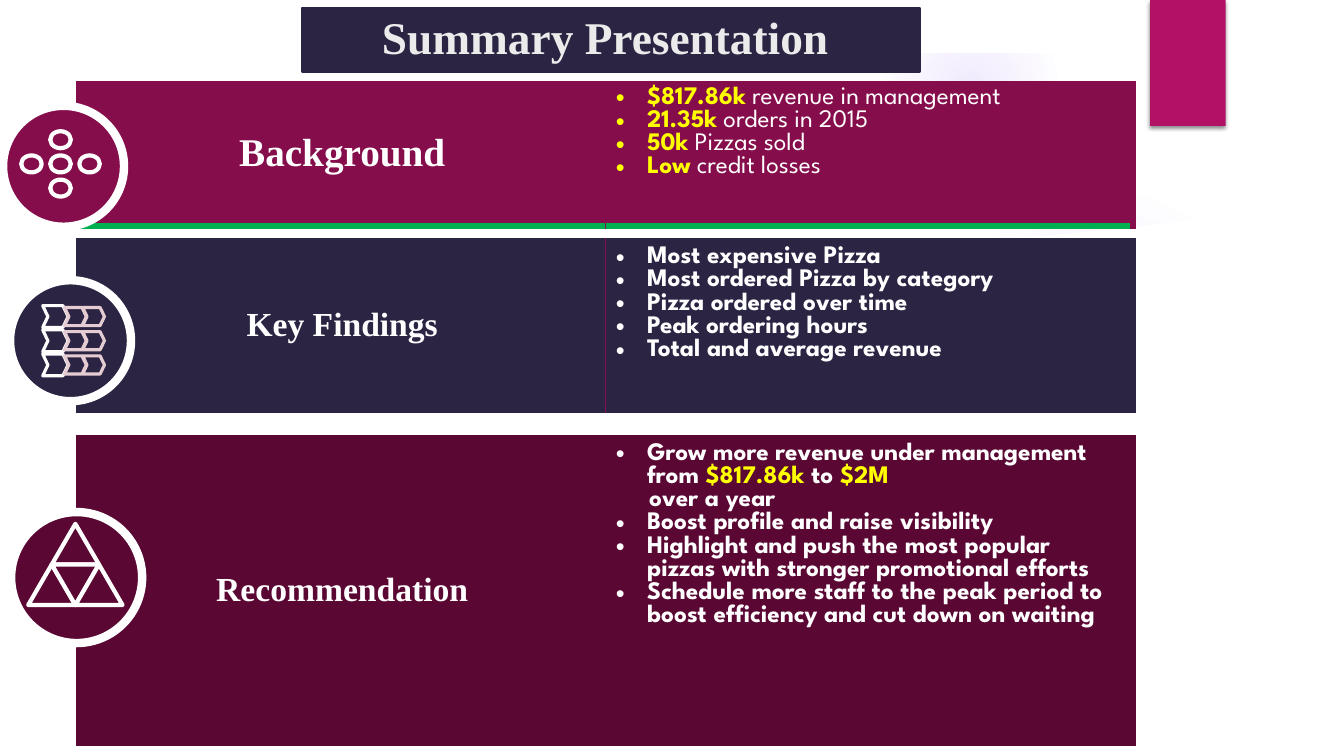
from lxml import etree
from pptx import Presentation
from pptx.dml.color import RGBColor
from pptx.enum.shapes import MSO_SHAPE
from pptx.enum.text import MSO_ANCHOR, PP_ALIGN
from pptx.oxml import parse_xml
from pptx.oxml.ns import nsdecls, qn
from pptx.util import Inches, Pt

OVAL, RECT, FRAME = MSO_SHAPE.OVAL, MSO_SHAPE.RECTANGLE, MSO_SHAPE.FRAME
CHEVRON, TRIANGLE = MSO_SHAPE.CHEVRON, MSO_SHAPE.ISOSCELES_TRIANGLE
CENTER, MIDDLE, TOP = PP_ALIGN.CENTER, MSO_ANCHOR.MIDDLE, MSO_ANCHOR.TOP

WIDTH, HEIGHT = Inches(13.333), Inches(7.5)
WHITE, YELLOW, GREEN = "FFFFFF", "FFFF00", "00B050"
BERRY, NAVY, PLUM, PINK = "860D4C", "2C2443", "5A0833", "B31166"
LAVENDER, BLUSH, PALE = "9B6BF2", "E5CCD3", "EBEBEB"

SERIF = {"name": "Times New Roman", "bold": True}
STRONG = {"name": "League Spartan", "size": Pt(18), "bold": True, "color": WHITE}
PLAIN = {**STRONG, "bold": False}
FIGURE = {**STRONG, "color": YELLOW}


def rgb(value):
    return RGBColor.from_string(value)


def percent(left, top, width, height):
    return (int(WIDTH * left / 100), int(HEIGHT * top / 100),
            int(WIDTH * width / 100), int(HEIGHT * height / 100))


def within(box, left, top, width, height):
    x, y, w, h = box
    return int(x + w * left), int(y + h * top), int(w * width), int(h * height)


def paint(shape, fill, line=None, weight=1):
    shape.shadow.inherit = False
    shape.fill.solid()
    shape.fill.fore_color.rgb = rgb(fill)
    if line:
        shape.line.color.rgb = rgb(line)
        shape.line.width = Pt(weight)
    else:
        shape.line.fill.background()
    return shape


def draw(shapes, kind, box, fill, line=None, weight=1):
    return paint(shapes.add_shape(kind, *box), fill, line, weight)


def write(paragraph, text, looks):
    run = paragraph.add_run()
    run.text = text
    for key, value in looks.items():
        if key == "color":
            run.font.color.rgb = rgb(value)
        else:
            setattr(run.font, key, value)


def indent(paragraph, margin, bullet):
    props = paragraph._p.get_or_add_pPr()
    props.set("marL", str(Inches(margin)))
    props.set("indent", str(-Inches(margin) if bullet else 0))
    if bullet:
        etree.SubElement(props, qn("a:buFont")).set("typeface", "Arial")
        etree.SubElement(props, qn("a:buChar")).set("char", "•")
    else:
        etree.SubElement(props, qn("a:buNone"))


def glow(slide, box, stops):
    shape = draw(slide.shapes, OVAL, box, LAVENDER)
    marks = "".join(
        f'<a:gs pos="{position * 1000}"><a:srgbClr val="{LAVENDER}">'
        f'<a:alpha val="{alpha * 1000}"/></a:srgbClr></a:gs>'
        for position, alpha in stops)
    gradient = parse_xml(
        f'<a:gradFill {nsdecls("a")} rotWithShape="1"><a:gsLst>{marks}</a:gsLst>'
        '<a:path path="circle"><a:fillToRect l="50000" t="50000" r="50000" b="50000"/>'
        '</a:path></a:gradFill>')
    props = shape._element.spPr
    props.replace(props.find(qn("a:solidFill")), gradient)


def backdrop(slide):
    glow(slide, percent(70.58, 24.4, 23.1, 41.07), [(0, 7), (36, 6), (69, 0)])
    glow(slide, percent(65.63, 0.13, 13.13, 23.33), [(0, 14), (36, 7), (73, 0)])
    wave = [(3.75, 27.2), (11.93, 29.07), (21.23, 30.67), (33.3, 32.13),
            (49.28, 33.07), (67.05, 32.53), (79.5, 30.93), (87.9, 29.33),
            (96.3, 27.2), (96.3, 93.33), (3.75, 93.33)]
    corners = [percent(x, y, 0, 0)[:2] for x, y in wave]
    outline = slide.shapes.build_freeform(*corners[0])
    outline.add_line_segments(corners[1:], close=True)
    paint(outline.convert_to_shape(), WHITE)
    border = draw(slide.shapes, FRAME, percent(0, 0, 100, 100), WHITE)
    border.adjustments[0] = 0.07


def ribbon(slide, box):
    strip = draw(slide.shapes, RECT, box, PINK)
    strip._element.spPr.find(qn("a:effectLst")).append(parse_xml(
        f'<a:outerShdw {nsdecls("a")} blurRad="{Pt(3)}" dist="{Pt(2)}" dir="5400000">'
        '<a:srgbClr val="000000"><a:alpha val="45000"/></a:srgbClr></a:outerShdw>'))


def banner(slide, box):
    draw(slide.shapes, RECT, box, NAVY, NAVY, 1.5)
    title = slide.shapes.add_textbox(*within(box, 0, 0.06, 0.98, 0.78)).text_frame
    title.word_wrap = True
    title.vertical_anchor = MIDDLE
    title.paragraphs[0].alignment = CENTER
    write(title.paragraphs[0], "Summary Presentation",
          {**SERIF, "size": Pt(32.4), "color": PALE})


def edge_cell(cell, edges):
    props = cell._tc.get_or_add_tcPr()
    for position, (side, (color, weight)) in enumerate(zip("LRTB", edges)):
        props.insert(position, parse_xml(
            f'<a:ln{side} {nsdecls("a")} w="{Pt(weight)}"><a:solidFill>'
            f'<a:srgbClr val="{color}"/></a:solidFill></a:ln{side}>'))


def section(slide, box, heading, size, color, points, top, divider, bottom):
    table = slide.shapes.add_table(1, 2, *box).table
    table.first_row = table.horz_banding = False
    side = (color, 4.5)
    label, details = table.cell(0, 0), table.cell(0, 1)
    for cell, anchor, edges in ((label, MIDDLE, (side, divider, top, bottom)),
                                (details, TOP, (divider, side, top, bottom))):
        cell.fill.solid()
        cell.fill.fore_color.rgb = rgb(color)
        cell.vertical_anchor = anchor
        edge_cell(cell, edges)
    name = label.text_frame.paragraphs[0]
    name.alignment = CENTER
    write(name, heading, {**SERIF, "size": Pt(size), "color": WHITE})
    frame = details.text_frame
    for number, (bullet, runs) in enumerate(points):
        line = frame.add_paragraph() if number else frame.paragraphs[0]
        indent(line, 0.31 if bullet else 0.33, bullet)
        for text, looks in runs:
            write(line, text, looks)


def badge(slide, box, color):
    group = slide.shapes.add_group_shape().shapes
    draw(group, OVAL, box, color, WHITE, 6)
    return group


def background_badge(slide, box):
    group = badge(slide, box, BERRY)
    for column, row in ((0, 0), (0, -1), (1, 0), (0, 1), (-1, 0)):
        spot = within(box, 0.39 + 0.24 * column, 0.41 + 0.2 * row, 0.17, 0.14)
        draw(group, OVAL, spot, BERRY, WHITE, 3)


def findings_badge(slide, box):
    group = badge(slide, box, NAVY)
    for row in range(3):
        for left, width, height, line in ((0.27, 0.21, 0.18, WHITE),
                                          (0.45, 0.18, 0.15, BLUSH),
                                          (0.6, 0.18, 0.15, BLUSH)):
            spot = within(box, left, 0.3 + 0.2 * row - height / 2, width, height)
            arrow = draw(group, CHEVRON, spot, NAVY, line, 2.25)
            arrow.adjustments[0] = 0.24


def recommendation_badge(slide, box):
    group = badge(slide, box, PLUM)
    for column, row, turn in ((1, 0, 0), (0, 1, 0), (1, 1, 180), (2, 1, 0)):
        spot = within(box, 0.13 + 0.18 * column, 0.09 + 0.31 * row, 0.36, 0.31)
        draw(group, TRIANGLE, spot, PLUM, WHITE, 3).rotation = turn


def main():
    deck = Presentation()
    deck.slide_width, deck.slide_height = WIDTH, HEIGHT
    slide = deck.slides.add_slide(deck.slide_layouts[6])
    backdrop(slide)
    ribbon(slide, percent(85.58, 0, 5.62, 16.67))
    facts = [("$817.86k", " revenue in management"), ("21.35k", " orders in 2015"),
             ("50k", " Pizzas sold"), ("Low", " credit losses")]
    findings = ["Most expensive Pizza", "Most ordered Pizza by category",
                "Pizza ordered over time", "Peak ordering hours",
                "Total and average revenue"]
    advice = ["Boost profile and raise visibility",
              "Highlight and push the most popular pizzas with stronger promotional efforts",
              "Schedule more staff to the peak period to boost efficiency and cut down on waiting"]
    goal = [("Grow more revenue under management from ", STRONG), ("$817.86k ", FIGURE),
            ("to ", STRONG), ("$2M", FIGURE)]
    section(slide, percent(5.85, 10.8, 78.45, 19.07), "Background", 28, BERRY,
            [(True, [(figure, FIGURE), (rest, PLAIN)]) for figure, rest in facts],
            (BERRY, 1), (BERRY, 1), (GREEN, 4.5))
    banner(slide, percent(22.5, 1.07, 45.98, 8.4))
    section(slide, percent(5.85, 31.87, 78.45, 22.4), "Key Findings", 24, NAVY,
            [(True, [(text, STRONG)]) for text in findings],
            (NAVY, 4.5), (BERRY, 1), (NAVY, 4.5))
    section(slide, percent(5.85, 57.87, 78.45, 40.4), "Recommendation", 24, PLUM,
            [(True, goal), (False, [("over a year", STRONG)])]
            + [(True, [(text, STRONG)]) for text in advice],
            (PLUM, 4.5), (PLUM, 1), (PLUM, 4.5))
    background_badge(slide, percent(0.23, 14, 9, 16))
    findings_badge(slide, percent(0.75, 37.07, 9, 16))
    recommendation_badge(slide, percent(0.83, 67.73, 9.75, 17.33))
    deck.save("out.pptx")


if __name__ == "__main__":
    main()
